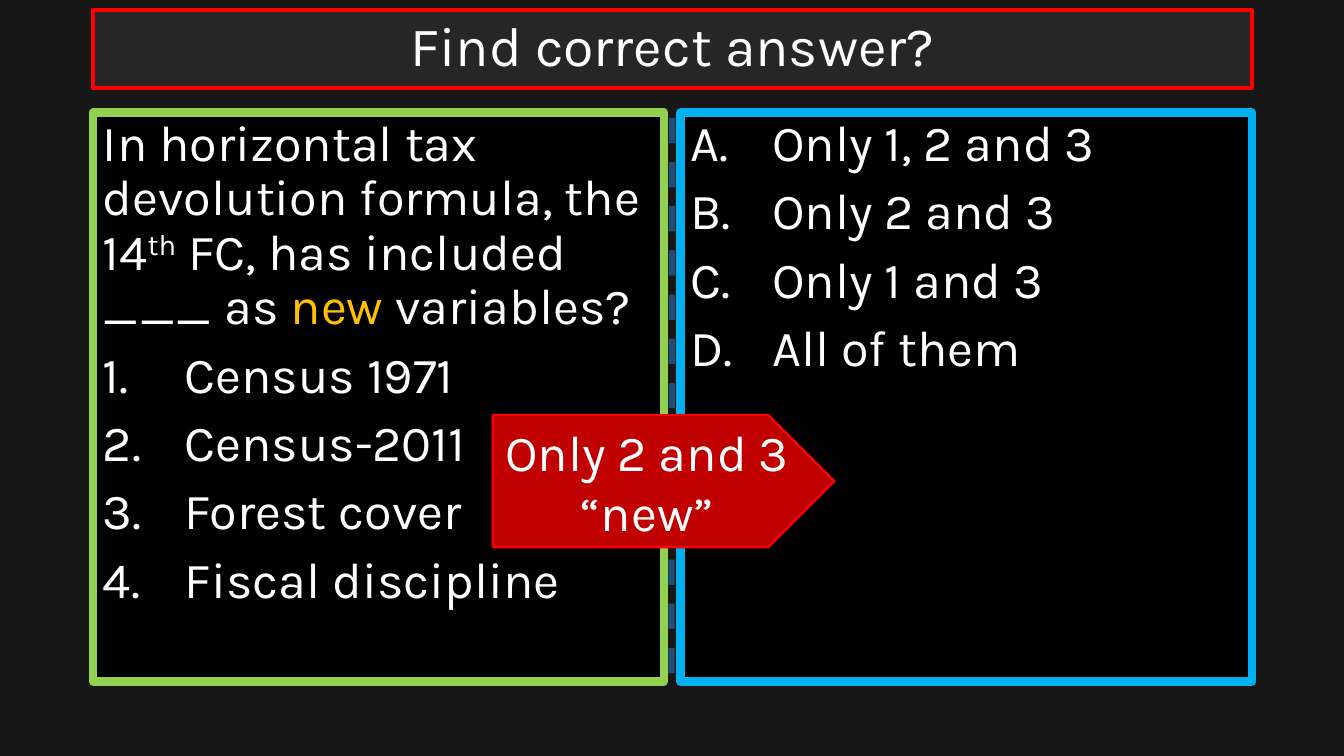
from dataclasses import dataclass

from lxml.etree import SubElement
from pptx import Presentation
from pptx.dml.color import RGBColor
from pptx.enum.dml import MSO_LINE
from pptx.enum.shapes import MSO_CONNECTOR, MSO_SHAPE
from pptx.enum.text import MSO_ANCHOR, MSO_AUTO_SIZE, PP_ALIGN
from pptx.oxml.ns import qn
from pptx.util import Cm, Pt


@dataclass(frozen=True)
class Theme:
    font: str = "Karla"
    title_size: float = 39.6
    text_size: float = 36
    page: str = "181717"
    panel: str = "000000"
    title_fill: str = "262626"
    text: str = "FFFFFF"
    accent: str = "FFC000"
    red: str = "FF0000"
    callout: str = "C00000"
    green: str = "92D050"
    blue: str = "00B0F0"
    divider: str = "1F4E79"


THEME = Theme()
LEFT, PANEL_TOP = 2.34, 2.84
PANEL_WIDTH, PANEL_HEIGHT, PANEL_STEP = 14.4, 14.33, 14.81
LIST_INDENT = Cm(2.06)

QUESTION = [
    ("In horizontal tax devolution formula, the 14", {}),
    ("th", {"baseline": "30000"}),
    (" FC, has included ___ as ", {}),
    ("new", {"color": THEME.accent}),
    (" variables?", {}),
]
VARIABLES = ["Census 1971", "Census-2011", "Forest cover", "Fiscal discipline"]
ANSWERS = ["Only 1, 2 and 3", "Only 2 and 3", "Only 1 and 3", "All of them"]


def color(code):
    return RGBColor.from_string(code)


def style_box(box, place, fill, line, weight):
    for name, value in zip(("left", "top", "width", "height"), place):
        setattr(box, name, Cm(value))
    box.fill.solid()
    box.fill.fore_color.rgb = color(fill)
    box.line.color.rgb = color(line)
    box.line.width = Pt(weight)


def set_frame(box, anchor):
    settings = {"word_wrap": True, "auto_size": MSO_AUTO_SIZE.NONE,
                "vertical_anchor": anchor}
    for name, value in settings.items():
        setattr(box.text_frame, name, value)


def add_span(para, text, size=THEME.text_size, color_code=THEME.text):
    span = para.add_run()
    span.text = text
    for name, value in {"name": THEME.font, "size": Pt(size)}.items():
        setattr(span.font, name, value)
    span.font.color.rgb = color(color_code)
    return span


def set_marker(para, numbering=None):
    """Give the paragraph automatic numbering, or no marker and no indent."""
    properties = para._p.get_or_add_pPr()
    indent = LIST_INDENT if numbering else 0
    properties.set("marL", str(indent))
    properties.set("indent", str(-indent))
    if numbering:
        SubElement(properties, qn("a:buFont"), typeface="+mj-lt")
        SubElement(properties, qn("a:buAutoNum"), type=numbering)
    else:
        SubElement(properties, qn("a:buNone"))


def next_para(frame):
    """Return the empty first paragraph, or a new one below the text."""
    first = frame.paragraphs[0]
    is_first = not first.runs
    para = first if is_first else frame.add_paragraph()
    para.space_before = Pt(0 if is_first else 10)
    para.line_spacing = 0.9
    return para


def add_list(frame, items, numbering):
    for item in items:
        para = next_para(frame)
        set_marker(para, numbering)
        add_span(para, item)


def add_question(frame):
    para = next_para(frame)
    set_marker(para)
    for text, look in QUESTION:
        span = add_span(para, text, color_code=look.get("color", THEME.text))
        if "baseline" in look:
            span.font._element.set("baseline", look["baseline"])


def add_title(page):
    title = page.shapes.title
    style_box(title, (LEFT, 0.25, 29.21, 1.96), THEME.title_fill, THEME.red, 3)
    set_frame(title, MSO_ANCHOR.MIDDLE)
    para = next_para(title.text_frame)
    para.alignment = PP_ALIGN.CENTER
    add_span(para, "Find correct answer?", THEME.title_size)


def add_panel(page, column, line):
    panel = page.placeholders[column + 1]
    place = (LEFT + column * PANEL_STEP, PANEL_TOP, PANEL_WIDTH, PANEL_HEIGHT)
    style_box(panel, place, THEME.panel, line, 6)
    set_frame(panel, MSO_ANCHOR.TOP)
    return panel.text_frame


def add_divider(page):
    """Draw the dashed line between the panels, behind everything else."""
    divider = page.shapes.add_connector(
        MSO_CONNECTOR.STRAIGHT, Cm(16.94), Cm(2.97), Cm(16.92), Cm(17.42))
    divider.line.color.rgb = color(THEME.divider)
    divider.line.width = Pt(4.5)
    divider.line.dash_style = MSO_LINE.DASH
    SubElement(divider.element.spPr, qn("a:effectLst"))
    divider.element.getparent().insert(2, divider.element)


def add_callout(page):
    place = (12.42, 10.46, 8.61, 3.33)
    callout = page.shapes.add_shape(MSO_SHAPE.PENTAGON, *map(Cm, place))
    callout.shadow.inherit = False
    style_box(callout, place, THEME.callout, THEME.red, 1.5)
    set_frame(callout, MSO_ANCHOR.MIDDLE)
    for text in ("Only 2 and 3", "“new”"):
        para = next_para(callout.text_frame)
        para.space_before = Pt(0)
        para.line_spacing = 1.0
        para.alignment = PP_ALIGN.CENTER
        add_span(para, text)


def main():
    deck = Presentation()
    deck.slide_width, deck.slide_height = Cm(33.87), Cm(19.05)
    page = deck.slides.add_slide(deck.slide_layouts.get_by_name("Two Content"))
    page.background.fill.solid()
    page.background.fill.fore_color.rgb = color(THEME.page)

    add_divider(page)
    add_title(page)
    question = add_panel(page, 0, THEME.green)
    add_question(question)
    add_list(question, VARIABLES, "arabicPeriod")
    add_list(add_panel(page, 1, THEME.blue), ANSWERS, "alphaUcPeriod")
    add_callout(page)
    deck.save("out.pptx")


if __name__ == "__main__":
    main()
